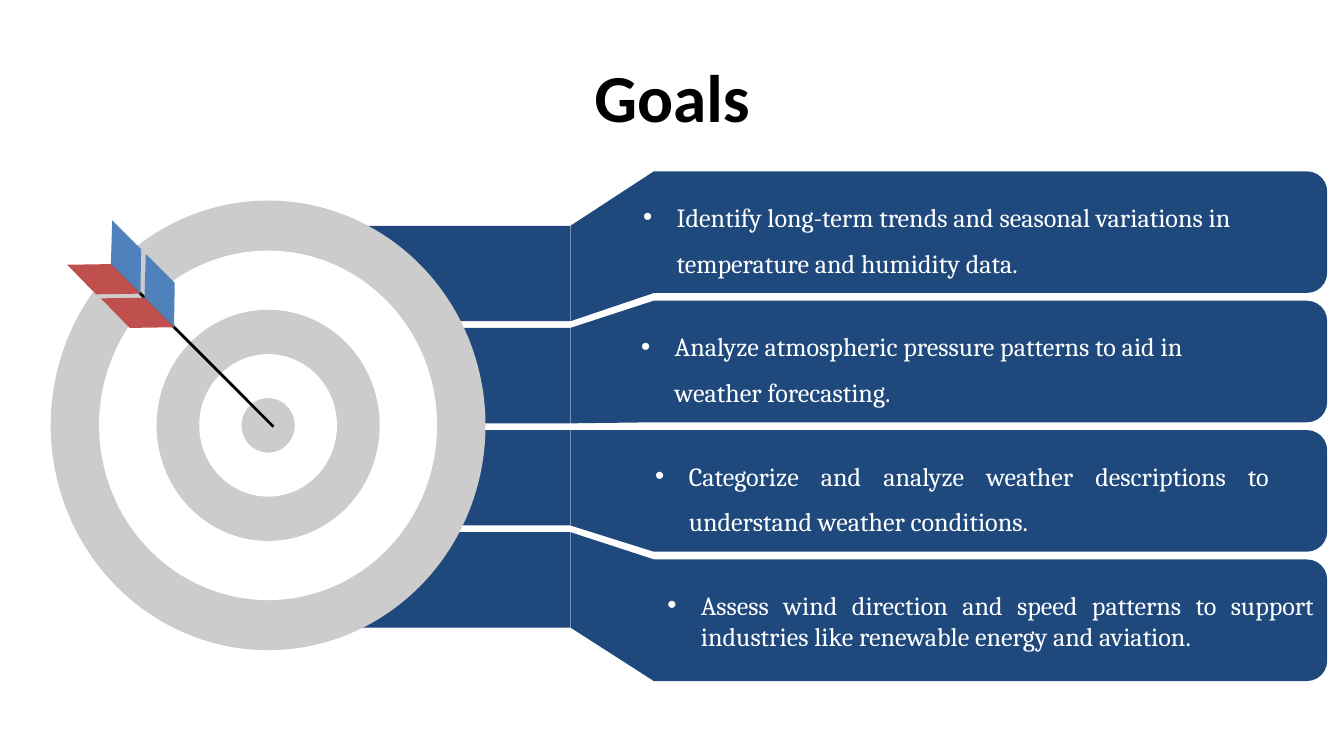
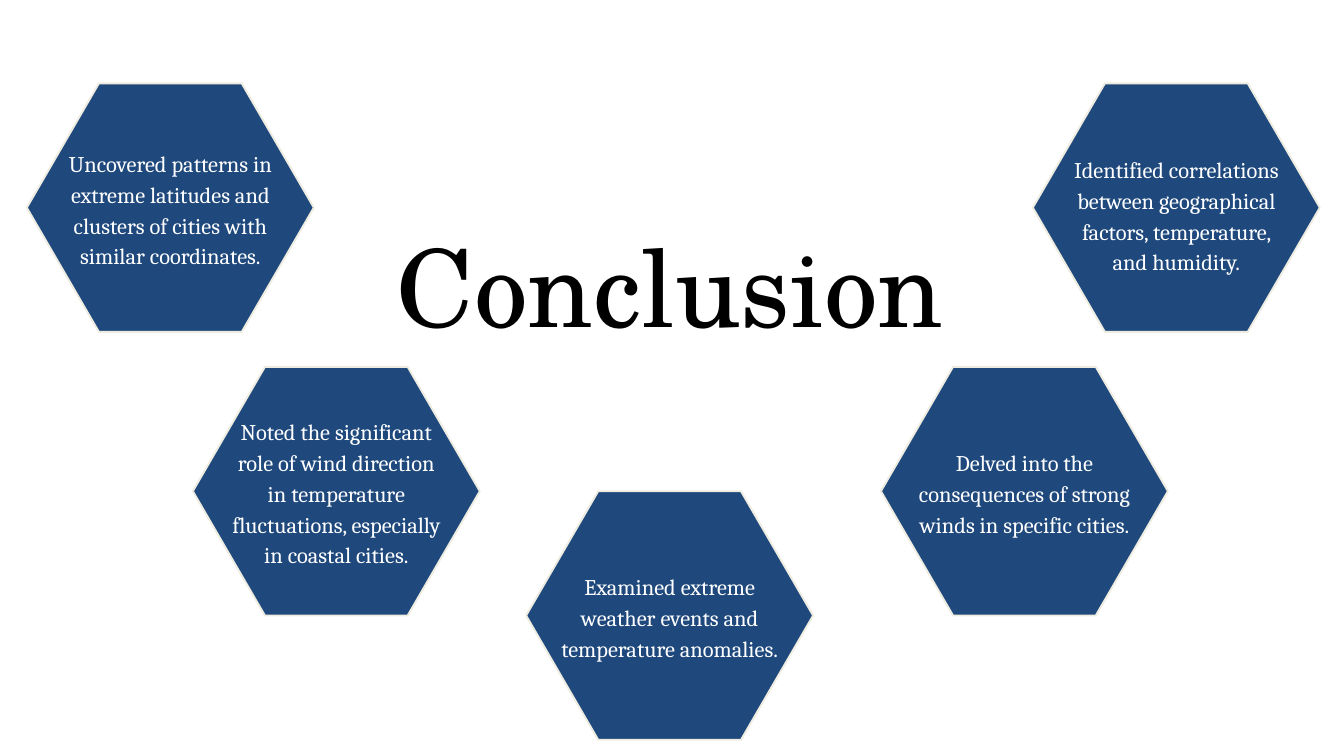
from lxml import etree
from pptx import Presentation
from pptx.dml.color import RGBColor
from pptx.enum.shapes import MSO_CONNECTOR as Connector, MSO_SHAPE as Shape
from pptx.enum.text import MSO_ANCHOR as Anchor, PP_ALIGN as Align
from pptx.oxml.ns import qn
from pptx.util import Inches, Pt

NAVY = RGBColor(0x1F, 0x49, 0x7D)
BLUE = RGBColor(0x4F, 0x81, 0xBD)
RED = RGBColor(0xC0, 0x50, 0x4D)
GREY = RGBColor(0xCC, 0xCC, 0xCC)
CREAM = RGBColor(0xEE, 0xEC, 0xE1)
WHITE = RGBColor(0xFF, 0xFF, 0xFF)
BLACK = RGBColor(0, 0, 0)

BODY_FONT = "Cambria"

# Text, left edge, width, alignment and line spacing of each goal
GOALS = [
    ("Identify long-term trends and seasonal variations in temperature and humidity data.",
     9.37, 9.71, Align.LEFT, Pt(49)),
    ("Analyze atmospheric pressure patterns to aid in weather forecasting.",
     9.34, 9.74, Align.LEFT, Pt(49)),
    ("Categorize and analyze weather descriptions to understand weather conditions.",
     9.55, 9.53, Align.JUSTIFY, Pt(49)),
    ("Assess wind direction and speed patterns to support industries like renewable "
     "energy and aviation.",
     9.73, 10.02, Align.JUSTIFY, None),
]

# Left, top, text and downward shift of the text for each finding
FINDINGS = [
    (0.4, 1.24, "Uncovered patterns in extreme latitudes and clusters of cities "
                "with similar coordinates.", 0),
    (2.87, 5.46, "Noted the significant role of wind direction in temperature "
                 "fluctuations, especially in coastal cities.", 0),
    (7.83, 7.31, "Examined extreme weather events and temperature anomalies.", 0),
    (13.11, 5.46, "Delved into the consequences of strong winds in specific cities.", 0),
    (15.37, 1.24, "Identified correlations between geographical factors, temperature, "
                  "and humidity.", 0.09),
]


def paint(shape, fill, line=None, width=2):
    shape.shadow.inherit = False
    shape.fill.solid()
    shape.fill.fore_color.rgb = fill
    if line is None:
        shape.line.fill.background()
    else:
        shape.line.color.rgb = line
        shape.line.width = Pt(width)


def add_preset(slide, kind, box, fill, line=None):
    shape = slide.shapes.add_shape(kind, *map(Inches, box))
    paint(shape, fill, line)
    return shape


def add_polygon(slide, points, fill):
    corners = [(Inches(x), Inches(y)) for x, y in points]
    builder = slide.shapes.build_freeform(*corners[0], scale=1.0)
    builder.add_line_segments(corners[1:], close=True)
    paint(builder.convert_to_shape(), fill)


def add_text(slide, box, text, *, size, font=BODY_FONT, color=WHITE, bold=False,
             align=Align.CENTER, spacing=None, inset=0.2, bullet=False):
    frame = slide.shapes.add_textbox(*map(Inches, box)).text_frame
    frame.word_wrap = True
    frame.vertical_anchor = Anchor.MIDDLE
    frame.margin_left = frame.margin_right = Inches(inset)
    frame.margin_top = frame.margin_bottom = Inches(inset)
    paragraph = frame.paragraphs[0]
    paragraph.alignment = align
    if spacing is not None:
        paragraph.line_spacing = spacing
    if bullet:
        properties = paragraph._p.get_or_add_pPr()
        properties.set("marL", str(Inches(0.5)))
        properties.set("indent", str(-Inches(0.5)))
        etree.SubElement(properties, qn("a:buFont"), typeface="Arial")
        etree.SubElement(properties, qn("a:buChar"), char="•")
    run = paragraph.add_run()
    run.text = text
    run.font.name, run.font.size, run.font.bold = font, Pt(size), bold
    run.font.color.rgb = color


def add_title(slide, box, text, **fmt):
    add_text(slide, box, text, color=BLACK, **fmt)


def draw_goal_bands(slide, left, top):
    """Four bands that fan out from the target towards the right."""
    arm_width, taper_width, band_length = 4.67, 1.24, 10.02
    arm_height, arm_pitch = 1.42, 1.52
    band_height, band_pitch = 1.81, 1.925
    taper_left = left + arm_width
    band_left = taper_left + taper_width
    for i, (goal, text_left, text_width, align, spacing) in enumerate(GOALS):
        band_top = top + i * band_pitch
        arm_top = top + 0.81 + i * arm_pitch
        middle = band_top + band_height / 2
        # Arm behind the target, then the taper to the band
        add_preset(slide, Shape.RECTANGLE, (left, arm_top, arm_width, arm_height), NAVY)
        add_polygon(slide, [(taper_left, arm_top), (band_left, band_top),
                            (band_left, band_top + band_height),
                            (taper_left, arm_top + arm_height)], NAVY)
        # Band, turned so that its round corners face right
        band = add_preset(slide, Shape.ROUND_2_SAME_RECTANGLE,
                          (band_left + (band_length - band_height) / 2,
                           middle - band_length / 2, band_height, band_length), NAVY)
        band.rotation = 90
        add_text(slide, (text_left, middle - 0.57, text_width, 1.15), goal, size=28,
                 align=align, spacing=spacing, bullet=True)


def draw_target(slide, center_x, center_y):
    rings = [(6.47, 6.69), (5.03, 5.2), (3.32, 3.44), (2.05, 2.12), (0.79, 0.81)]
    for i, (width, height) in enumerate(rings):
        add_preset(slide, Shape.OVAL,
                   (center_x - width / 2, center_y - height / 2, width, height),
                   WHITE if i % 2 else GREY)


def draw_arrow(slide, tail_x, tail_y):
    # Shaft
    shaft = slide.shapes.add_connector(
        Connector.STRAIGHT, Inches(tail_x), Inches(tail_y),
        Inches(tail_x + 2.42), Inches(tail_y + 2.42))
    shaft.line.color.rgb = BLACK
    shaft.line.width = Pt(3)
    etree.SubElement(shaft._element.spPr, qn("a:effectLst"))
    # Two pairs of feathers along the shaft
    upper = [(0.02, -0.65), (0, 0), (0.44, 0.44), (0.45, -0.22)]
    lower = [(0, 0), (-0.65, 0.01), (-0.22, 0.45), (0.44, 0.44)]
    for feather, color in ((upper, BLUE), (lower, RED)):
        for shift in (0, 0.5):
            add_polygon(slide, [(tail_x + shift + x, tail_y + shift + y)
                                for x, y in feather], color)


def draw_finding(slide, left, top, finding, text_shift):
    width, height = 4.27, 3.7
    hexagon = add_preset(slide, Shape.HEXAGON, (left, top, width, height), NAVY, CREAM)
    hexagon.adjustments[0] = 0.29
    add_text(slide, (left + 0.5, top + 1.3 + text_shift, 3.27, 1.1), finding,
             size=24, spacing=1.15, inset=0)


def build_goals(slide):
    add_title(slide, (1, 0.9, 18, 1.05), "Goals", size=72, font="Calibri", bold=True)
    draw_goal_bands(slide, 3.82, 2.55)
    draw_target(slide, 3.99, 6.33)
    draw_arrow(slide, 1.65, 3.93)


def build_conclusion(slide):
    add_title(slide, (1.55, 3.93, 16.84, 0.62), "Conclusion", size=115,
              font="TeX Gyre Schola")
    for finding in FINDINGS:
        draw_finding(slide, *finding)


def main():
    deck = Presentation()
    deck.slide_width, deck.slide_height = Inches(20), Inches(11.25)
    blank = deck.slide_layouts[6]
    for build in (build_goals, build_conclusion):
        build(deck.slides.add_slide(blank))
    deck.save("out.pptx")


if __name__ == "__main__":
    main()
